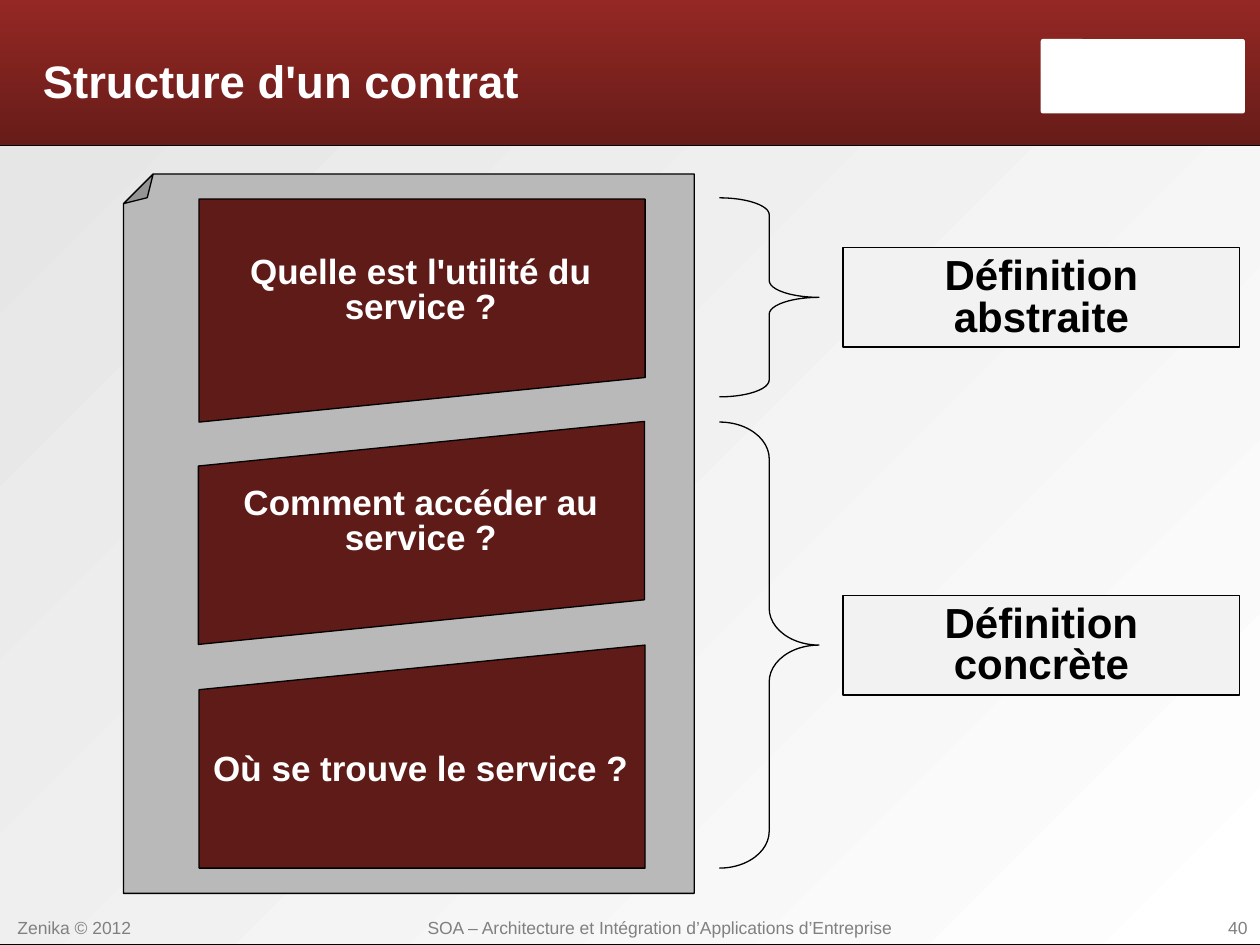
from lxml import etree
from pptx import Presentation
from pptx.dml.color import RGBColor
from pptx.enum import shapes, text
from pptx.oxml.ns import qn
from pptx.util import Inches, Pt

ALIGN = text.PP_ALIGN
KIND = shapes.MSO_SHAPE


def paint(shape, fill=None, line="000000", gradient=None):
    """Fill with one colour, a (start, end, angle) gradient, or nothing."""
    shape.shadow.inherit = False
    if gradient:
        shape.fill.gradient()
        shape.fill.gradient_angle = gradient[2]
        for stop, colour in zip(shape.fill.gradient_stops, gradient):
            stop.color.rgb = RGBColor.from_string(colour)
    elif fill:
        shape.fill.solid()
        shape.fill.fore_color.rgb = RGBColor.from_string(fill)
    else:
        shape.fill.background()
    if line:
        shape.line.color.rgb = RGBColor.from_string(line)
        shape.line.width = Pt(0.75)
    else:
        shape.line.fill.background()


def write(shape, words, size, colour, align=ALIGN.CENTER, bold=True,
          spacing=0.83, anchor=text.MSO_ANCHOR.TOP, insets=(0.1, 0.07, 0.1, 0.05)):
    frame = shape.text_frame
    frame.text = words
    frame.word_wrap = True
    frame.auto_size = text.MSO_AUTO_SIZE.NONE
    frame.vertical_anchor = anchor
    frame.margin_left, frame.margin_top, frame.margin_right, frame.margin_bottom = map(Inches, insets)
    paragraph = frame.paragraphs[0]
    paragraph.alignment = align
    paragraph.line_spacing = spacing
    paragraph.space_before = Pt(0)
    font = paragraph.runs[0].font
    font.name, font.size, font.bold = "Arial", Pt(size), bold
    font.color.rgb = RGBColor.from_string(colour)


prs = Presentation()
prs.slide_width, prs.slide_height = Inches(10), Inches(7.5)
slide = prs.slides.add_slide(prs.slide_layouts[5])
tree = slide.shapes

# Page background, header band and plain logo panel
for box, look in (
    ((-0.04, 1.15, 10.16, 6.35), {"gradient": ("FFFFFF", "E6E6E6", 135)}),
    ((-0.04, 0, 10.16, 1.15), {"gradient": ("942824", "671C19", 270), "line": None}),
    ((8.26, 0.31, 1.62, 0.59), {"fill": "FFFFFF", "line": None}),
):
    panel = tree.add_shape(KIND.ROUNDED_RECTANGLE, *map(Inches, box))
    panel.adjustments[0] = 0.03 if look.get("fill") else 0
    paint(panel, **look)

# Footer
for left, width, words, align in (
    (0.04, 1.18, "Zenika © 2012", ALIGN.LEFT),
    (2.95, 4.57, "SOA – Architecture et Intégration d’Applications d’Entreprise", ALIGN.CENTER),
    (8.82, 1.18, "40", ALIGN.RIGHT),
):
    footer = tree.add_textbox(Inches(left), Inches(7.23), Inches(width), Inches(0.17))
    write(footer, words, 10, "808080", align, bold=False, spacing=0.93,
          insets=(0.1, 0.06, 0.1, 0.05))

# Title, brought in front of the header band
title = tree.title
title.left, title.top, title.width, title.height = map(Inches, (0.34, 0.15, 7.7, 0.99))
write(title, "Structure d'un contrat", 26, "FFFFFF", ALIGN.LEFT, spacing=0.93,
      anchor=text.MSO_ANCHOR.MIDDLE, insets=(0, 0.03, 0, 0))
title.element.getparent().append(title.element)

# Contract sheet, whose fold size has to be set in XML
sheet = tree.add_shape(KIND.FOLDED_CORNER, *map(Inches, (0.98, 1.38, 4.53, 5.71)))
sheet.rotation = 180
paint(sheet, "B9B9B9")
fold = sheet.element.spPr.find(qn("a:prstGeom")).find(qn("a:avLst"))
etree.SubElement(fold, qn("a:gd"), name="adj", fmla="val 5200")

# Sections of the contract
for kind, box, rotation in (
    (KIND.FLOWCHART_MANUAL_INPUT, (1.58, 1.58, 3.54, 1.77), 180),
    (KIND.PARALLELOGRAM, (2.46, 2.46, 1.77, 3.54), 90),
    (KIND.FLOWCHART_MANUAL_INPUT, (1.58, 5.12, 3.54, 1.77), 0),
):
    section = tree.add_shape(kind, *map(Inches, box))
    section.rotation = rotation
    paint(section, "5E1B17")
    if kind == KIND.PARALLELOGRAM:
        section.adjustments[0] = 0.2
        section.element.spPr.find(qn("a:xfrm")).set("flipV", "1")

# Questions
for top, words in (
    (1.97, "Quelle est l'utilité du service ?"),
    (3.8, "Comment accéder au service ?"),
    (5.91, "Où se trouve le service ?"),
):
    question = tree.add_textbox(Inches(1.57), Inches(top), Inches(3.54), Inches(0.72))
    write(question, words, 20, "FFFFFF")

# Braces, each pointing at the middle of its definition
for top, height, curve, words in (
    (1.57, 1.58, 0.17, "Définition abstraite"),
    (3.35, 3.54, 0.37, "Définition concrète"),
):
    brace = tree.add_shape(KIND.RIGHT_BRACE, Inches(5.71), Inches(top), Inches(0.79), Inches(height))
    brace.adjustments[0] = curve
    paint(brace)
    middle = top + height / 2
    definition = tree.add_shape(KIND.RECTANGLE, Inches(6.69), Inches(middle - 0.79 / 2),
                                Inches(3.15), Inches(0.79))
    paint(definition, "F2F2F2")
    write(definition, words, 24, "000000", anchor=text.MSO_ANCHOR.MIDDLE)

prs.save("out.pptx")
